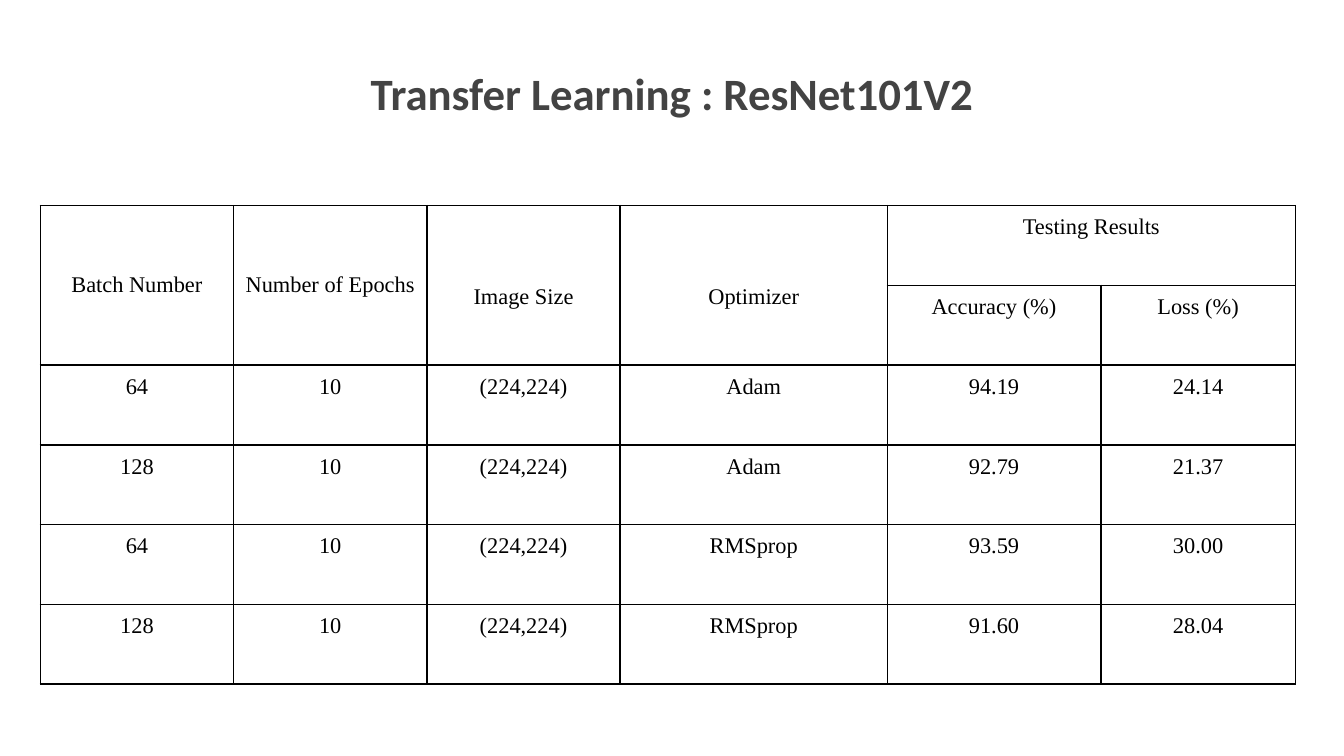
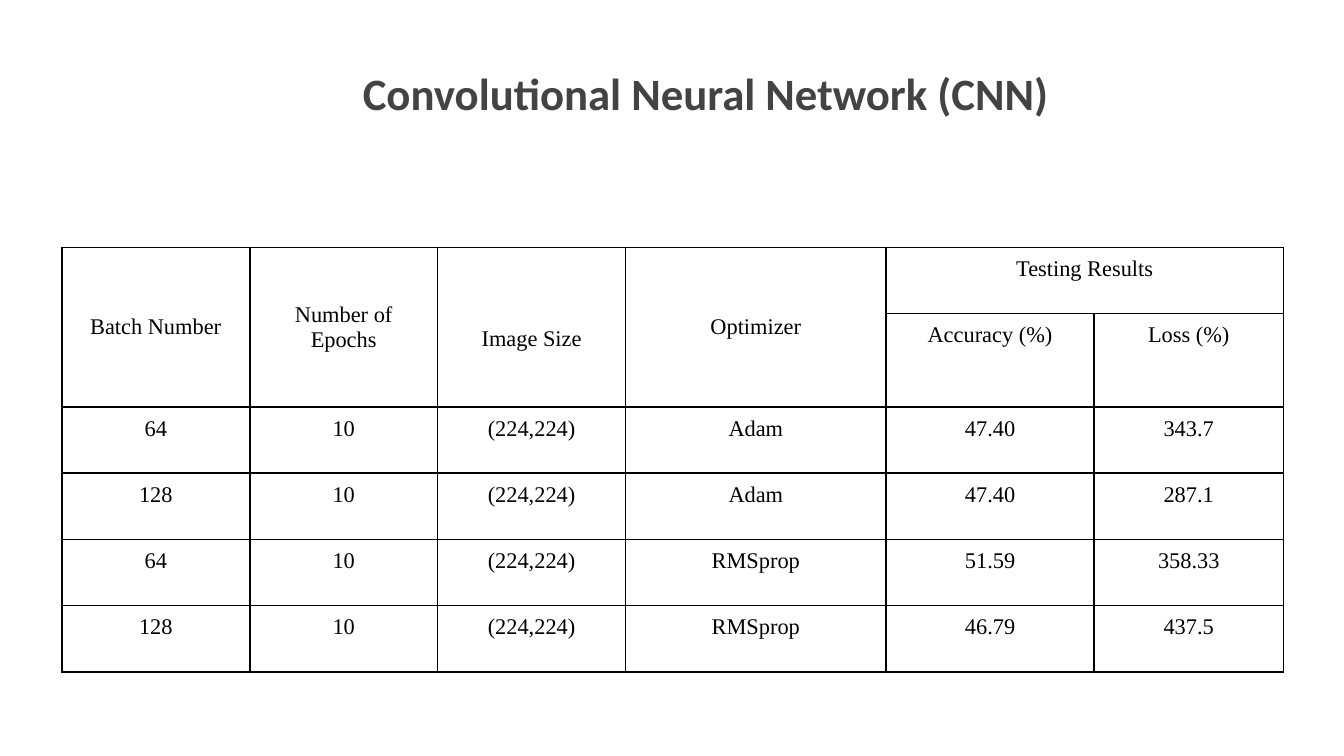
from lxml import etree
from pptx import Presentation
from pptx.dml.color import RGBColor
from pptx.enum.text import MSO_ANCHOR, PP_ALIGN
from pptx.oxml.ns import qn
from pptx.util import Inches, Pt

CENTER = PP_ALIGN.CENTER
TOP, MIDDLE = MSO_ANCHOR.TOP, MSO_ANCHOR.MIDDLE

TITLE_COLOR = "434343"
TABLE_COLOR = "000000"
TITLE_FONT = "Calibri"
TABLE_FONT = "Times New Roman"

HEADERS = ["Batch Number", "Number of Epochs", "Image Size", "Optimizer"]
RESULT_HEADERS = ["Accuracy (%)", "Loss (%)"]
RUNS = [(batch, "10", "(224,224)", optimizer)
        for optimizer in ("Adam", "RMSprop") for batch in ("64", "128")]
ROW_COUNT = 2 + len(RUNS)
COLUMN_COUNT = len(HEADERS) + len(RESULT_HEADERS)

LINE_DROP = 0.18  # one line of table text, lowers a middle-anchored header

EXPERIMENTS = [
    {
        "title": "Transfer Learning : ResNet101V2",
        "title_box": (2.15, 0.39, 5.7, 1.03),
        "table_box": (0.3, 1.53, 9.34, 3.56),
        "columns": [1.44, 1.44, 1.44, 1.99, 1.59, 1.45],
        "rows": [1] * ROW_COUNT,
        "lowered": {"Image Size", "Optimizer"},
        "results": [("94.19", "24.14"), ("92.79", "21.37"),
                    ("93.59", "30.00"), ("91.60", "28.04")],
    },
    {
        "title": "Convolutional Neural Network (CNN)",
        "title_box": (2.15, 0.39, 6.2, 1.03),
        "table_box": (0.46, 1.84, 9.09, 3.16),
        "columns": [1.4, 1.4, 1.4, 1.94, 1.55, 1.41],
        "rows": [0.49, 0.69] + [0.49] * len(RUNS),
        "lowered": {"Image Size"},
        "results": [("47.40", "343.7"), ("47.40", "287.1"),
                    ("51.59", "358.33"), ("46.79", "437.5")],
    },
]


def color(hex_string):
    return RGBColor.from_string(hex_string)


def share(total, weights):
    """Split a length in proportion to the weights."""
    return [Inches(total * weight / sum(weights)) for weight in weights]


def write_centered(text_frame, text, font_name, size, hex_color, bold=False):
    paragraph = text_frame.paragraphs[0]
    paragraph.alignment = CENTER
    run = paragraph.add_run()
    run.text = text
    run.font.name = font_name
    run.font.size = Pt(size)
    run.font.bold = bold
    run.font.color.rgb = color(hex_color)


def add_title(slide, box, text):
    shape = slide.shapes.add_textbox(*map(Inches, box))
    text_frame = shape.text_frame
    text_frame.word_wrap = True
    text_frame.vertical_anchor = TOP
    text_frame.margin_left = text_frame.margin_right = Inches(0.1)
    text_frame.margin_top = text_frame.margin_bottom = Inches(0.1)
    write_centered(text_frame, text, TITLE_FONT, 24, TITLE_COLOR, bold=True)


def style_cell(cell):
    """Give a cell thin borders, no fill and even margins."""
    properties = cell._tc.get_or_add_tcPr()
    for side in ("a:lnL", "a:lnR", "a:lnT", "a:lnB"):
        line = etree.SubElement(properties, qn(side), w=str(Pt(1)))
        fill = etree.SubElement(line, qn("a:solidFill"))
        etree.SubElement(fill, qn("a:srgbClr"), val=TABLE_COLOR)
    cell.fill.background()
    cell.margin_left = cell.margin_right = Inches(0.08)
    cell.margin_top = cell.margin_bottom = Inches(0.07)


def write_cell(cell, text):
    write_centered(cell.text_frame, text, TABLE_FONT, 12, TABLE_COLOR)


def add_header(table, lowered):
    """Fill the two header rows, with the run settings spanning both."""
    for index, text in enumerate(HEADERS):
        cell = table.cell(0, index)
        cell.merge(table.cell(1, index))
        cell.vertical_anchor = MIDDLE
        if text in lowered:
            cell.margin_top += Inches(LINE_DROP)
        write_cell(cell, text)
    first_result = len(HEADERS)
    results_cell = table.cell(0, first_result)
    results_cell.merge(table.cell(0, COLUMN_COUNT - 1))
    write_cell(results_cell, "Testing Results")
    for index, text in enumerate(RESULT_HEADERS, first_result):
        write_cell(table.cell(1, index), text)


def add_results_table(slide, experiment):
    left, top, width, height = experiment["table_box"]
    table = slide.shapes.add_table(
        ROW_COUNT, COLUMN_COUNT, Inches(left), Inches(top),
        Inches(width), Inches(height)).table
    table.first_row = False
    table.horz_banding = False
    for column, column_width in zip(table.columns, share(width, experiment["columns"])):
        column.width = column_width
    for row, row_height in zip(table.rows, share(height, experiment["rows"])):
        row.height = row_height
    for cell in table.iter_cells():
        style_cell(cell)
    add_header(table, experiment["lowered"])
    for row_index, (settings, results) in enumerate(zip(RUNS, experiment["results"]), 2):
        for column_index, text in enumerate(settings + results):
            write_cell(table.cell(row_index, column_index), text)


def add_experiment_slide(presentation, experiment):
    slide = presentation.slides.add_slide(presentation.slide_layouts[6])
    add_title(slide, experiment["title_box"], experiment["title"])
    add_results_table(slide, experiment)


def main():
    presentation = Presentation()
    presentation.slide_width = Inches(10)
    presentation.slide_height = Inches(10 * 9 / 16)
    for experiment in EXPERIMENTS:
        add_experiment_slide(presentation, experiment)
    presentation.save("out.pptx")


if __name__ == "__main__":
    main()
